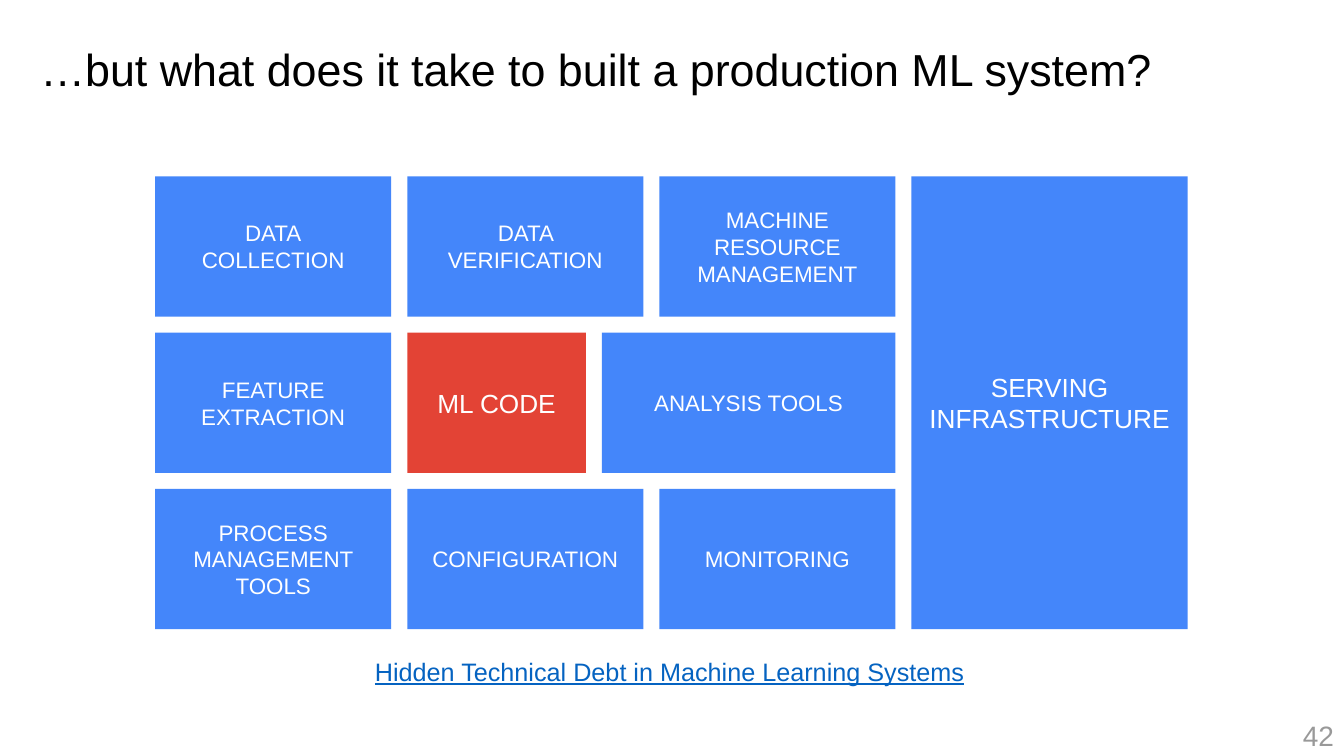
from pptx import Presentation, util as u
from pptx.dml.color import RGBColor
from pptx.enum import shapes, text

COLORS = {
    "blue": "4486FA",
    "red": "E34335",
    "white": "FFFFFF",
    "black": "000000",
    "link": "0563C1",
    "gray": "999999",
}
FONT = "Arial"

# Block grid, in inches
LEFT, TOP, GAP = 1.54, 1.75, 0.16
BLOCK_WIDTH, BLOCK_HEIGHT = 2.34, 1.39
SERVING_WIDTH = 2.74

# Each block: lines, width, fill, text size
ROWS = [
    [
        (["DATA", "COLLECTION"], BLOCK_WIDTH, "blue", 16),
        (["DATA VERIFICATION"], BLOCK_WIDTH, "blue", 16),
        (["MACHINE", "RESOURCE", "MANAGEMENT"], BLOCK_WIDTH, "blue", 16),
    ],
    [
        (["FEATURE EXTRACTION"], BLOCK_WIDTH, "blue", 16),
        (["ML CODE"], 1.77, "red", 18.7),
        (["ANALYSIS TOOLS"], 2.91, "blue", 16),
    ],
    [
        (["PROCESS MANAGEMENT TOOLS"], BLOCK_WIDTH, "blue", 16),
        (["CONFIGURATION"], BLOCK_WIDTH, "blue", 16),
        (["MONITORING"], BLOCK_WIDTH, "blue", 16),
    ],
]


class SlideBuilder:
    def __init__(self, slide, font):
        self.slide = slide
        self.font = font

    def add_lines(self, shape, lines, size, color, align, insets, anchor, underline=False):
        frame = shape.text_frame
        frame.vertical_anchor = anchor
        frame.margin_left, frame.margin_top, frame.margin_right, frame.margin_bottom = (
            u.Inches(inset) for inset in insets
        )
        for index, line in enumerate(lines):
            paragraph = frame.add_paragraph() if index else frame.paragraphs[0]
            paragraph.alignment = align
            run = paragraph.add_run()
            run.text = line
            run.font.name = self.font
            run.font.size = u.Pt(size)
            run.font.underline = underline
            run.font.color.rgb = RGBColor.from_string(COLORS[color])

    def text_box(self, box, line, size, color, align=text.PP_ALIGN.LEFT,
                 insets=(0.1, 0.05, 0.1, 0.05), anchor=text.MSO_ANCHOR.MIDDLE,
                 wrap=True, underline=False):
        shape = self.slide.shapes.add_textbox(*map(u.Inches, box))
        shape.text_frame.word_wrap = wrap
        self.add_lines(shape, [line], size, color, align, insets, anchor, underline)
        return shape

    def block(self, box, lines, fill, size):
        shape = self.slide.shapes.add_shape(
            shapes.MSO_SHAPE.ROUNDED_RECTANGLE, *map(u.Inches, box))
        shape.adjustments[0] = 0
        shape.shadow.inherit = False
        shape.fill.solid()
        shape.fill.fore_color.rgb = RGBColor.from_string(COLORS[fill])
        shape.line.fill.background()
        shape.text_frame.word_wrap = True
        self.add_lines(shape, lines, size, "white", text.PP_ALIGN.CENTER,
                       (0.13, 0.07, 0.13, 0.07), text.MSO_ANCHOR.MIDDLE)


def main():
    presentation = Presentation()
    presentation.slide_width = u.Inches(13.33)
    presentation.slide_height = u.Inches(7.5)
    slide = presentation.slides.add_slide(presentation.slide_layouts[6])
    builder = SlideBuilder(slide, FONT)

    # Title
    title = builder.text_box(
        (0, -0.01, 13.33, 1.45), "…but what does it take to built a production ML system?",
        32, "black", insets=(0.4, 0.05, 0.1, 0.05))
    title.text_frame.paragraphs[0].line_spacing = 0.9

    # Rows of system components
    for index, row in enumerate(ROWS):
        left = LEFT
        top = TOP + index * (BLOCK_HEIGHT + GAP)
        for lines, width, fill, size in row:
            builder.block((left, top, width, BLOCK_HEIGHT), lines, fill, size)
            left += width + GAP

    # Serving block beside all rows
    serving_left = LEFT + 3 * (BLOCK_WIDTH + GAP)
    serving_height = 3 * BLOCK_HEIGHT + 2 * GAP
    builder.block((serving_left, TOP, SERVING_WIDTH, serving_height),
                  ["SERVING INFRASTRUCTURE"], "blue", 18.7)

    # Reference and page number
    reference = builder.text_box(
        (3.62, 6.46, 6.1, 0.4), "Hidden Technical Debt in Machine Learning Systems",
        18, "link", anchor=text.MSO_ANCHOR.TOP, wrap=False, underline=True)
    reference.text_frame.auto_size = text.MSO_AUTO_SIZE.SHAPE_TO_FIT_TEXT
    builder.text_box((10.33, 7.09, 3, 0.4), "42", 20, "gray", align=text.PP_ALIGN.RIGHT)

    presentation.save("out.pptx")


if __name__ == "__main__":
    main()
